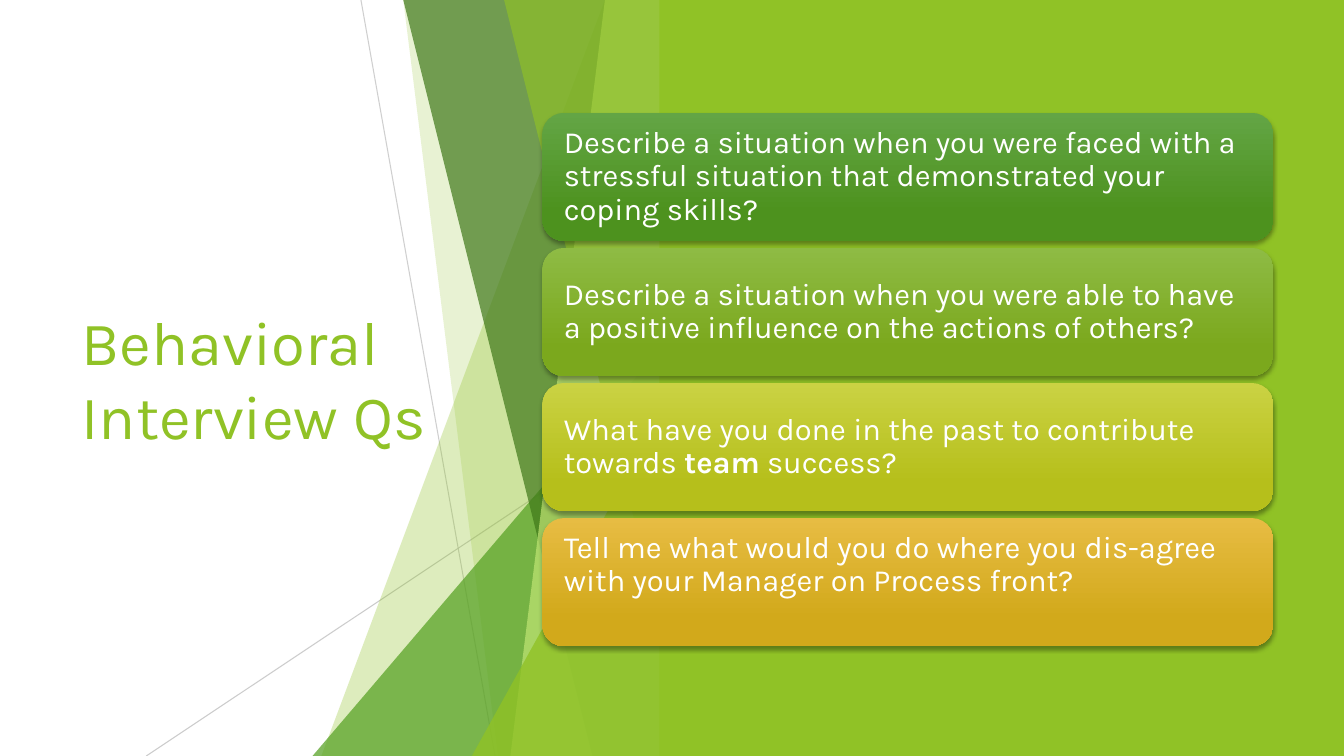
from pptx import Presentation
from pptx.dml.color import RGBColor
from pptx.enum.shapes import MSO_CONNECTOR, MSO_SHAPE
from pptx.enum.text import MSO_ANCHOR, MSO_AUTO_SIZE, PP_ALIGN
from pptx.oxml.ns import qn
from pptx.util import Inches, Pt
from lxml.etree import SubElement

WIDTH, HEIGHT = 13.33, 7.5
GREEN, DEEP_GREEN, DARK_GREEN, PALE_GREEN = "90C226", "54A021", "3F7819", "C0E474"
WHITE, GREY = "FFFFFF", "BFBFBF"


def rgb(value):
    return RGBColor.from_string(value)


def set_alpha(element, percent):
    for color in element.iter(qn("a:srgbClr")):
        SubElement(color, qn("a:alpha")).set("val", str(percent * 1000))


class SlideBuilder:
    font = "Karla"

    def __init__(self, prs):
        self.slide = prs.slides.add_slide(prs.slide_layouts[5])
        self.shapes = self.slide.shapes

    def format_run(self, r, size, color, bold=False):
        r.font.name, r.font.size, r.font.bold = self.font, Pt(size), bold
        r.font.color.rgb = rgb(color)

    def title(self, text, left, top, width, height):
        sp = self.shapes.title
        sp.left, sp.top = Inches(left), Inches(top)
        sp.width, sp.height = Inches(width), Inches(height)
        tf = sp.text_frame
        tf.text = text
        tf.word_wrap, tf.auto_size = True, MSO_AUTO_SIZE.NONE
        tf.vertical_anchor = MSO_ANCHOR.MIDDLE
        p = tf.paragraphs[0]
        p.alignment = PP_ALIGN.LEFT
        self.format_run(p.runs[0], 44, GREEN)

    def line(self, x1, y1, x2, y2, color, alpha):
        cx = self.shapes.add_connector(MSO_CONNECTOR.STRAIGHT, Inches(x1), Inches(y1),
                                       Inches(x2), Inches(y2))
        cx.line.color.rgb, cx.line.width = rgb(color), Pt(0.75)
        sp_pr = cx._element.spPr
        set_alpha(sp_pr, alpha)
        SubElement(sp_pr, qn("a:effectLst"))

    def paint(self, sp, color, alpha=100):
        sp.shadow.inherit = False
        sp.fill.solid()
        sp.fill.fore_color.rgb = rgb(color)
        sp.line.fill.background()
        if alpha < 100:
            set_alpha(sp._element.spPr, alpha)

    def shape(self, kind, left, top, width, height):
        return self.shapes.add_shape(kind, Inches(left), Inches(top),
                                     Inches(width), Inches(height))

    def rectangle(self, left, top, width, height, color):
        self.paint(self.shape(MSO_SHAPE.RECTANGLE, left, top, width, height), color)

    def triangle(self, left, top, right, color, alpha):
        sp = self.shape(MSO_SHAPE.ISOSCELES_TRIANGLE, left, top, right - left, HEIGHT - top)
        sp.adjustments[0] = 1
        self.paint(sp, color, alpha)

    def facet(self, top_x, bottom_x, right, color, alpha):
        """Full-height panel with a slanted left edge."""
        builder = self.shapes.build_freeform(top_x, 0, scale=Inches(1))
        builder.add_line_segments([(right, 0), (right, HEIGHT), (bottom_x, HEIGHT)])
        self.paint(builder.convert_to_shape(), color, alpha)

    def card(self, left, top, width, height, parts, colors, bottom_inset):
        sp = self.shape(MSO_SHAPE.ROUNDED_RECTANGLE, left, top, width, height)
        sp.line.fill.background()
        sp.fill.gradient()
        sp.fill.gradient_angle = 270
        for stop, color, position in zip(sp.fill.gradient_stops, colors, (0, 0.78)):
            stop.color.rgb, stop.position = rgb(color), position
        self.drop_shadow(sp)
        tf = sp.text_frame
        tf.word_wrap, tf.vertical_anchor = True, MSO_ANCHOR.MIDDLE
        tf.margin_left = tf.margin_right = tf.margin_top = Inches(0.15)
        tf.margin_bottom = Inches(bottom_inset)
        p = tf.paragraphs[0]
        p.alignment, p.line_spacing = PP_ALIGN.LEFT, 0.9
        for i, part in enumerate(parts):
            r = p.add_run()
            r.text = part
            self.format_run(r, 22, WHITE, bold=i % 2 == 1)

    def drop_shadow(self, sp):
        sp.shadow.inherit = False
        effects = sp._element.spPr.find(qn("a:effectLst"))
        shadow = SubElement(effects, qn("a:outerShdw"), blurRad=str(Pt(3)),
                            dist=str(Pt(2)), dir="5400000", rotWithShape="0")
        SubElement(shadow, qn("a:srgbClr"), val="000000")
        set_alpha(shadow, 35)


# Every second part of a question is bold
QUESTIONS = [
    (["Describe a situation when you were faced with a stressful situation "
      "that demonstrated your coping skills?"], ("63A545", "4D921E"), 0.15),
    (["Describe a situation when you were able to have a positive influence "
      "on the actions of others?"], ("8EBB44", "7BA81D"), 0.15),
    (["What have you done in the past to contribute towards ", "team", " success?"],
     ("CAD243", "B6BF1B"), 0.15),
    (["Tell me what would you do where you dis-agree with your Manager "
      "on Process front?"], ("E7BC43", "D2A91B"), 0.49),
]


def main():
    prs = Presentation()
    prs.slide_width, prs.slide_height = Inches(WIDTH), Inches(HEIGHT)
    s = SlideBuilder(prs)

    # Title
    s.title("Behavioral Interview Qs", 0.71, 1.51, 3.88, 4.48)

    # Faceted band
    edge = 6.66
    s.line(3.58, 0, 4.91, HEIGHT, GREY, 75)
    s.line(edge, 4.03, 1.45, HEIGHT, GREY, 80)
    s.facet(5.61, 3.37, edge, GREEN, 30)
    s.facet(3.84, 5.16, edge, GREEN, 20)
    s.triangle(3.1, 3.33, edge, DEEP_GREEN, 72)
    s.facet(3.54, 6.24, edge, DARK_GREEN, 70)
    s.facet(6.37, 5.25, edge, PALE_GREEN, 70)
    s.facet(5.3, 6.51, edge, GREEN, 65)
    s.triangle(4.68, 3.93, edge, GREEN, 80)

    # Green panel
    s.rectangle(6.54, 0, WIDTH - 6.54, HEIGHT, GREEN)

    # Question cards
    for i, (parts, colors, bottom_inset) in enumerate(QUESTIONS):
        s.card(5.38, 1.12 + i * 1.34, 7.25, 1.27, parts, colors, bottom_inset)

    prs.save("out.pptx")


if __name__ == "__main__":
    main()
